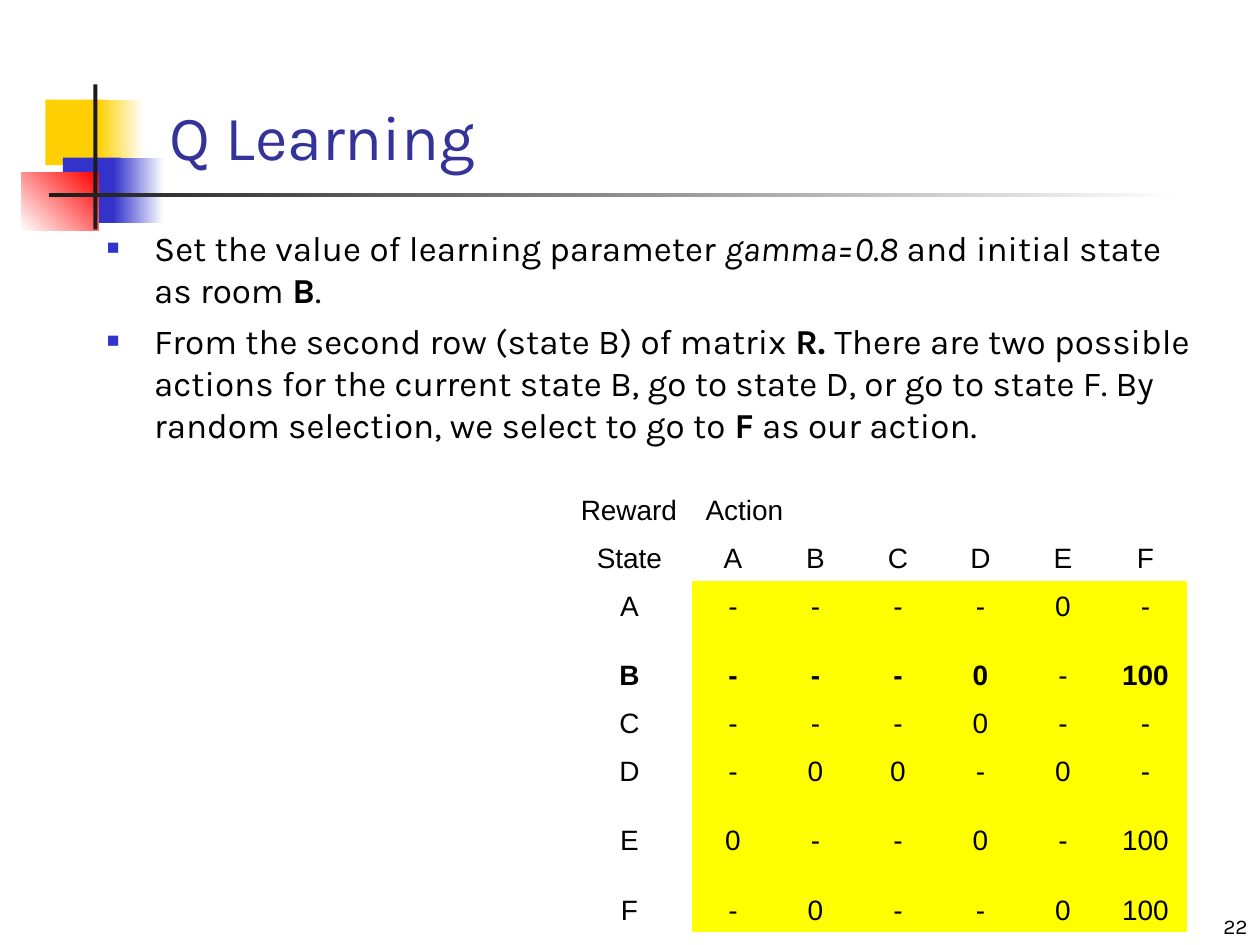
from dataclasses import dataclass

from lxml.etree import SubElement
from pptx import Presentation
from pptx.dml.color import RGBColor
from pptx.enum.shapes import MSO_SHAPE as Preset
from pptx.enum.text import MSO_ANCHOR as Anchor, PP_ALIGN as Align
from pptx.oxml.ns import qn
from pptx.util import Pt


@dataclass(frozen=True)
class Theme:
    white: str = "FFFFFF"
    black: str = "000000"
    ink: str = "1C1C1C"
    title: str = "333399"
    blue: str = "3333CC"
    gold: str = "FFCF01"
    red: str = "FF0000"
    reward: str = "FFFF00"
    text_font: str = "Karla"
    table_font: str = "Arial"
    title_size: int = 36
    body_size: int = 20
    table_size: int = 16
    number_size: int = 12


@dataclass(frozen=True)
class Box:
    left: float
    top: float
    width: float
    height: float

    def inner(self, left, top, width, height):
        return Box(self.left + left, self.top + top, width, height)

    def lengths(self):
        return [Pt(value) for value in (self.left, self.top, self.width, self.height)]


THEME = Theme()
NO_GRID_STYLE = "{2D5ABB26-0587-4C30-8999-92F81FD0307C}"

BULLETS = [
    [("Set the value of learning parameter ", ""), ("gamma=0.8", "italic"),
     (" and initial state as room ", ""), ("B", "bold"), (".", "")],
    [("From the second row (state B) of matrix ", ""), ("R. ", "bold"),
     ("There are two possible actions for the current state B, go to state D, "
      "or go to state F. By random selection, we select to go to ", ""),
     ("F", "bold"), (" as our action.", "")],
]

REWARDS = {
    "A": "- - - - 0 -",
    "B": "- - - 0 - 100",
    "C": "- - - 0 - -",
    "D": "- 0 0 - 0 -",
    "E": "0 - - 0 - 100",
    "F": "- 0 - - 0 100",
}


def set_font(font, name, size, color):
    font.name = name
    font.size = Pt(size)
    font.color.rgb = RGBColor.from_string(color)


def add_block(slide, box, start, end=None, angle=0):
    shape = slide.shapes.add_shape(Preset.RECTANGLE, *box.lengths())
    shape.shadow.inherit = False
    shape.line.fill.background()
    if end is None:
        shape.fill.solid()
        shape.fill.fore_color.rgb = RGBColor.from_string(start)
        return
    shape.fill.gradient()
    shape.fill.gradient_angle = angle
    for stop, color in zip(shape.fill.gradient_stops, (start, end)):
        stop.color.rgb = RGBColor.from_string(color)


def add_emblem(slide, box):
    side = 37.44
    gold_top, blue_top = 8.64, 41.76
    add_block(slide, box.inner(13.68, gold_top, 34.56, side), THEME.gold)
    add_block(slide, box.inner(43.92, gold_top, 25.92, side), THEME.gold, THEME.white)
    add_block(slide, box.inner(23.76, blue_top, 33.12, side), THEME.blue)
    add_block(slide, box.inner(52.56, blue_top, 28.8, side), THEME.blue, THEME.white)
    add_block(slide, box.inner(0, 50.4, 43.92, 33.12), THEME.white, THEME.red, 45)
    add_block(slide, box.inner(41.04, 0, 2.4, box.height), THEME.ink)
    add_block(slide, box.inner(15.84, 61.92, 648, 2.4), THEME.ink, THEME.white)


def add_text_frame(slide, box, anchor):
    frame = slide.shapes.add_textbox(*box.lengths()).text_frame
    frame.word_wrap = True
    frame.vertical_anchor = anchor
    return frame


def add_line(slide, box, text, size, color, align):
    paragraph = add_text_frame(slide, box, Anchor.BOTTOM).paragraphs[0]
    paragraph.text = text
    paragraph.alignment = align
    set_font(paragraph.font, THEME.text_font, size, color)


def add_bullet(paragraph, indent):
    properties = paragraph._p.get_or_add_pPr()
    properties.set("marL", str(Pt(indent)))
    properties.set("indent", str(-Pt(indent)))
    color = SubElement(properties, qn("a:buClr"))
    SubElement(color, qn("a:srgbClr"), val=THEME.blue)
    SubElement(properties, qn("a:buSzPct"), val="60000")
    SubElement(properties, qn("a:buFont"), typeface=THEME.table_font)
    SubElement(properties, qn("a:buChar"), char="■")


def add_body(slide, box):
    frame = add_text_frame(slide, box, Anchor.TOP)
    for index, pieces in enumerate(BULLETS):
        paragraph = frame.add_paragraph() if index else frame.paragraphs[0]
        if index:
            paragraph.space_before = Pt(5)
        add_bullet(paragraph, 27)
        set_font(paragraph.font, THEME.text_font, THEME.body_size, THEME.black)
        for text, style in pieces:
            run = paragraph.add_run()
            run.text = text
            if style:
                setattr(run.font, style, True)


def fill_cell(cell, text, align, bold, highlighted):
    cell.margin_left = cell.margin_right = Pt(7.92)
    cell.vertical_anchor = Anchor.BOTTOM
    if highlighted:
        cell.fill.solid()
        cell.fill.fore_color.rgb = RGBColor.from_string(THEME.reward)
    else:
        cell.fill.background()
    paragraph = cell.text_frame.paragraphs[0]
    paragraph.text = text
    paragraph.alignment = align
    set_font(paragraph.font, THEME.table_font, THEME.table_size, THEME.black)
    paragraph.font.bold = bold


def add_reward_table(slide, box):
    rows = [["Reward", "Action"] + [""] * 5, ["State", *REWARDS]]
    rows += [[state, *values.split()] for state, values in REWARDS.items()]
    state_width = 71.28
    action_width = (box.width - state_width) / len(REWARDS)
    short, tall = 27.36, 39.6
    heights = [46.08, short, short, tall, short, short, tall, tall]

    table = slide.shapes.add_table(len(rows), len(rows[0]), *box.lengths()).table
    table.first_row = table.horz_banding = False
    table._tbl.tblPr.find(qn("a:tableStyleId")).text = NO_GRID_STYLE
    for index, column in enumerate(table.columns):
        column.width = Pt(action_width if index else state_width)
    for row, height in zip(table.rows, heights):
        row.height = Pt(height)
    for row_index, values in enumerate(rows):
        for column_index, text in enumerate(values):
            fill_cell(
                table.cell(row_index, column_index),
                text,
                Align.CENTER if row_index else Align.LEFT,
                values[0] == "B" and column_index != 5,
                row_index > 1 and column_index > 0,
            )
    table.cell(0, 1).merge(table.cell(0, 2))


def main():
    presentation = Presentation()
    presentation.slide_width, presentation.slide_height = Pt(720), Pt(540)
    slide = presentation.slides.add_slide(presentation.slide_layouts[6])
    add_emblem(slide, Box(12.24, 48.24, 664, 82.8))
    add_line(slide, Box(570.24, 509.76, 149.76, 30.24), "22",
             THEME.number_size, THEME.black, Align.RIGHT)
    add_line(slide, Box(90, 54, 613.44, 48.24), "Q Learning",
             THEME.title_size, THEME.title, Align.LEFT)
    add_body(slide, Box(54, 126, 635.76, 365.76))
    add_reward_table(slide, Box(324, 258.48, 354.24, 273.6))
    presentation.save("out.pptx")


if __name__ == "__main__":
    main()
